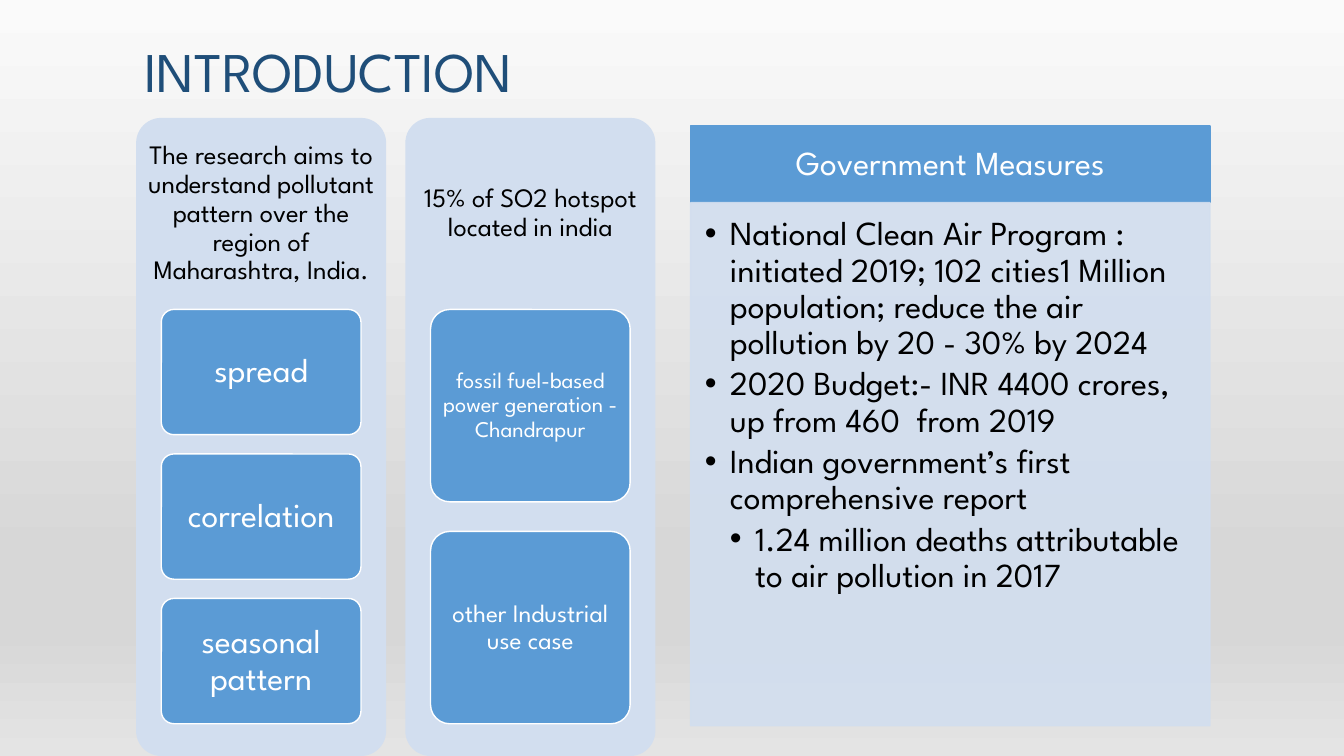
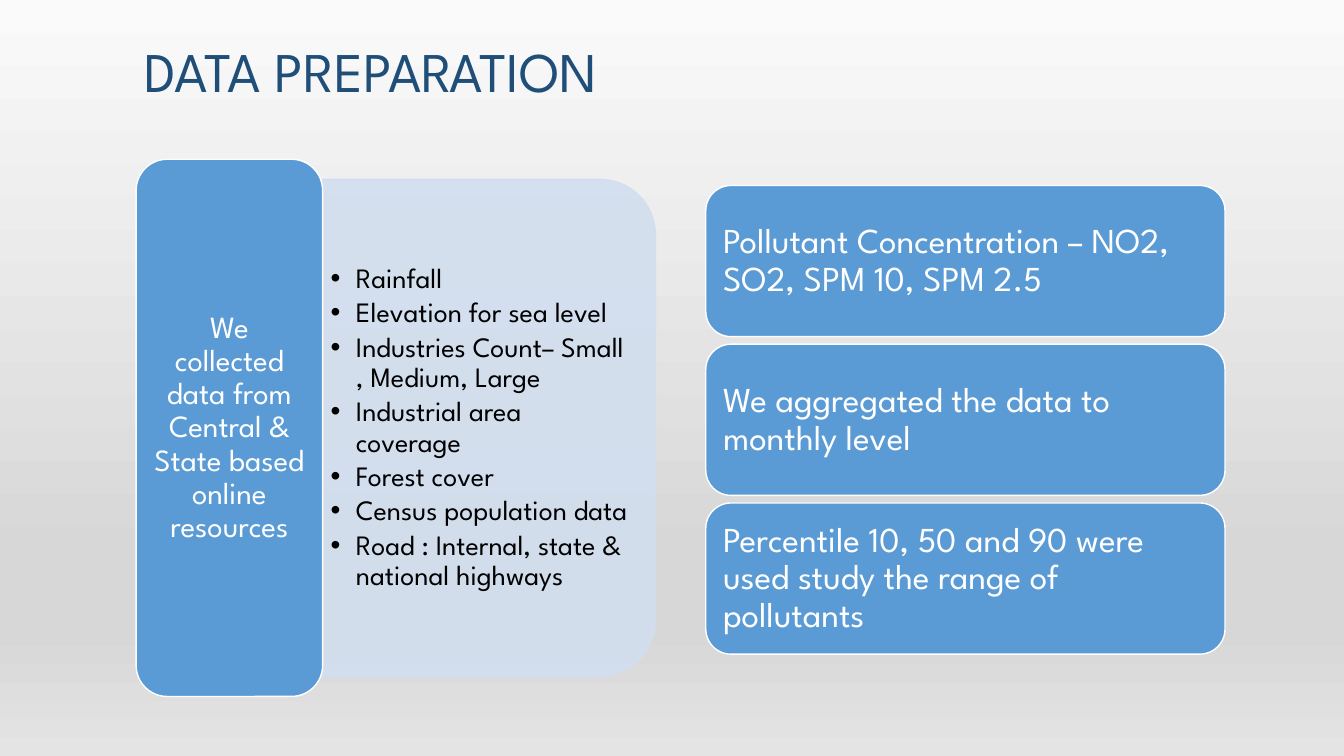
from lxml.etree import SubElement
from pptx import Presentation
from pptx.dml.color import RGBColor
from pptx.enum.shapes import MSO_SHAPE as SHAPE
from pptx.enum.text import MSO_ANCHOR as ANCHOR, MSO_AUTO_SIZE as AUTO_SIZE, PP_ALIGN as ALIGN
from pptx.oxml.ns import qn
from pptx.util import Emu, Pt

PX = 9144  # 100 px to the inch
FONT = "League Spartan"
COLORS = {
    "title": "1F4E79",
    "accent": "5B9BD5",
    "pale": "D2DEEF",
    "white": "FFFFFF",
    "black": "000000",
}
BACKDROP_STOPS = [(0, "FAFAFA"), (74, "D7D7D7"), (83, "D7D7D7"), (100, "E4E4E4")]
TITLE_BOX = (133, 31, 1067, 78)

AIMS = [
    ("The research aims to understand pollutant pattern over the region of Maharashtra, India.",
     [("spread", 24), ("correlation", 24), ("seasonal pattern", 24)]),
    ("15% of SO2 hotspot located in india",
     [("fossil fuel-based power generation - Chandrapur", 16), ("other Industrial use case", 18)]),
]
MEASURES = [
    ("National Clean Air Program : initiated 2019; 102 cities1 Million population; "
     "reduce the air pollution by 20 - 30% by 2024", 0),
    ("2020 Budget:- INR 4400 crores, up from 460  from 2019", 0),
    ("Indian government’s first comprehensive report", 0),
    ("1.24 million deaths attributable to air pollution in 2017", 1),
]
SOURCES = "We collected data from Central & State based online resources"
DATASETS = [(dataset, 0) for dataset in (
    "Rainfall",
    "Elevation for sea level",
    "Industries Count– Small , Medium, Large",
    "Industrial area coverage",
    "Forest cover",
    "Census population data",
    "Road : Internal, state & national highways",
)]
STEPS = [
    "Pollutant Concentration – NO2, SO2, SPM 10, SPM 2.5",
    "We aggregated the data to monthly level",
    "Percentile 10, 50 and 90 were used study the range of pollutants",
]


def px(length):
    return Emu(round(length * PX))


def rgb(name):
    return RGBColor.from_string(COLORS[name])


def place(shape, box):
    shape.left, shape.top, shape.width, shape.height = map(px, box)


def set_frame(frame, insets, anchor):
    frame.word_wrap = True
    frame.auto_size = AUTO_SIZE.NONE
    frame.vertical_anchor = anchor
    (frame.margin_left, frame.margin_top,
     frame.margin_right, frame.margin_bottom) = map(px, insets)


def style_paragraph(paragraph, size, color, align=ALIGN.LEFT, after=0):
    paragraph.alignment = align
    paragraph.line_spacing = 0.9
    paragraph.space_before = Pt(0)
    paragraph.space_after = Pt(after)
    font = paragraph.font
    font.name, font.size = FONT, Pt(size)
    font.color.rgb = rgb(color)


def write(shape, text, size, color, insets, align=ALIGN.CENTER, anchor=ANCHOR.MIDDLE):
    set_frame(shape.text_frame, insets, anchor)
    shape.text_frame.text = text
    style_paragraph(shape.text_frame.paragraphs[0], size, color, align)


def paint(shape, fill, line=None):
    shape.fill.solid()
    shape.fill.fore_color.rgb = rgb(fill)
    if line:
        shape.line.color.rgb = rgb(line)
        shape.line.width = Pt(1)
    else:
        shape.line.fill.background()


def make_translucent(shape):
    for color in list(shape.element.spPr.iter(qn("a:srgbClr"))):
        SubElement(color, qn("a:alpha"), val="90000")


def add_panel(slide, kind, box, fill, line=None, corner=None):
    panel = slide.shapes.add_shape(kind, *map(px, box))
    panel.shadow.inherit = False
    paint(panel, fill, line)
    if corner is not None:
        panel.adjustments[0] = corner
    return panel


def fill_list(slide, box, items, size, insets, anchor):
    """Put the items in the body placeholder and bring it to the front."""
    body = slide.placeholders[1]
    slide.shapes.element.append(body.element)
    place(body, box)
    frame = body.text_frame
    set_frame(frame, insets, anchor)
    frame.text = "\n".join(text for text, _ in items)
    for paragraph, (_, level) in zip(frame.paragraphs, items):
        paragraph.level = level
        properties = paragraph._p.get_or_add_pPr()
        properties.set("marL", str(px(25 * (level + 1))))
        properties.set("indent", str(px(-25)))
        SubElement(properties, qn("a:buFont"), typeface="Arial")
        SubElement(properties, qn("a:buChar"), char="•")
        style_paragraph(paragraph, size, "black", after=round(size * 0.15, 1))
    return body


def stack(box, count, gap_share):
    """Split a box into equal rows; a gap is gap_share of a row's height."""
    left, top, width, height = box
    row = height / (count + gap_share * (count - 1))
    return [(left, top + i * row * (1 + gap_share), width, row) for i in range(count)]


def add_aim_column(slide, box, heading, cards):
    left, top, width, height = box
    add_panel(slide, SHAPE.ROUNDED_RECTANGLE, box, "pale", corner=0.1)
    caption = slide.shapes.add_textbox(*map(px, (left, top, width, 190)))
    write(caption, heading, 19, "black", (8, 8, 8, 8))
    rows = stack((left + 25, top + 190, width - 50, height - 222), len(cards), 0.154)
    for row, (text, size) in zip(rows, cards):
        card = add_panel(slide, SHAPE.ROUNDED_RECTANGLE, row, "accent", "white", 0.1)
        side, end = size * 7 // 24, size // 5
        write(card, text, size, "white", (side, end, side, end))


def add_measures(slide, box):
    left, top, width, height = box
    header_height = 76
    header = add_panel(slide, SHAPE.RECTANGLE, (left, top, width, header_height),
                       "accent", "accent")
    write(header, "Government Measures", 24, "white", (19, 11, 19, 11))
    body = fill_list(slide, (left, top + header_height, width, height - header_height),
                     MEASURES, 24, (14, 14, 19, 21), ANCHOR.TOP)
    paint(body, "pale", "pale")
    make_translucent(body)


def add_data_sources(slide, box):
    left, top, width, height = box
    tab_width = 185
    list_left, list_width, list_height = left + tab_width, width - tab_width, height - 40
    # The panel is turned by 90 degrees, so its sides swap around the centre.
    center_x, center_y = list_left + list_width / 2, top + height / 2
    turned = (center_x - list_height / 2, center_y - list_width / 2, list_height, list_width)
    panel = add_panel(slide, SHAPE.ROUND_2_SAME_RECTANGLE, turned, "pale", "pale")
    panel.rotation = 90
    make_translucent(panel)
    fill_list(slide, (list_left, top + 36, list_width - 17, height - 72),
              DATASETS, 20, (8, 4, 8, 4), ANCHOR.MIDDLE)
    tab = add_panel(slide, SHAPE.ROUNDED_RECTANGLE, (left, top, tab_width, height),
                    "accent", "white")
    write(tab, SOURCES, 22, "white", (9, 5, 9, 5))


def add_steps(slide, box):
    for row, step in zip(stack(box, len(STEPS), 0.05), STEPS):
        card = add_panel(slide, SHAPE.ROUNDED_RECTANGLE, row, "accent", "white")
        write(card, step, 25, "white", (10, 10, 10, 10), ALIGN.LEFT)


def set_backdrop(master):
    fill = master.background.fill
    fill.gradient()
    fill.gradient_angle = 270
    stops = next(master.element.iter(qn("a:gsLst")))
    for stop in list(stops):
        stops.remove(stop)
    for percent, color in BACKDROP_STOPS:
        stop = SubElement(stops, qn("a:gs"), pos=str(percent * 1000))
        SubElement(stop, qn("a:srgbClr"), val=color)


def add_titled_slide(prs, title):
    slide = prs.slides.add_slide(prs.slide_layouts[1])
    place(slide.shapes.title, TITLE_BOX)
    write(slide.shapes.title, title, 40, "title", (10, 5, 10, 5), ALIGN.LEFT, ANCHOR.BOTTOM)
    return slide


def build_introduction(prs):
    slide = add_titled_slide(prs, "INTRODUCTION")
    for i, (heading, cards) in enumerate(AIMS):
        add_aim_column(slide, (135 + i * 267, 117, 248, 633), heading, cards)
    add_measures(slide, (685, 125, 515, 595))


def build_data_preparation(prs):
    slide = add_titled_slide(prs, "DATA PREPARATION")
    add_data_sources(slide, (135, 158, 515, 533))
    add_steps(slide, (700, 184, 515, 465))


def main():
    prs = Presentation()
    prs.slide_width, prs.slide_height = px(1333), px(750)
    set_backdrop(prs.slide_master)
    build_introduction(prs)
    build_data_preparation(prs)
    prs.save("out.pptx")


if __name__ == "__main__":
    main()
